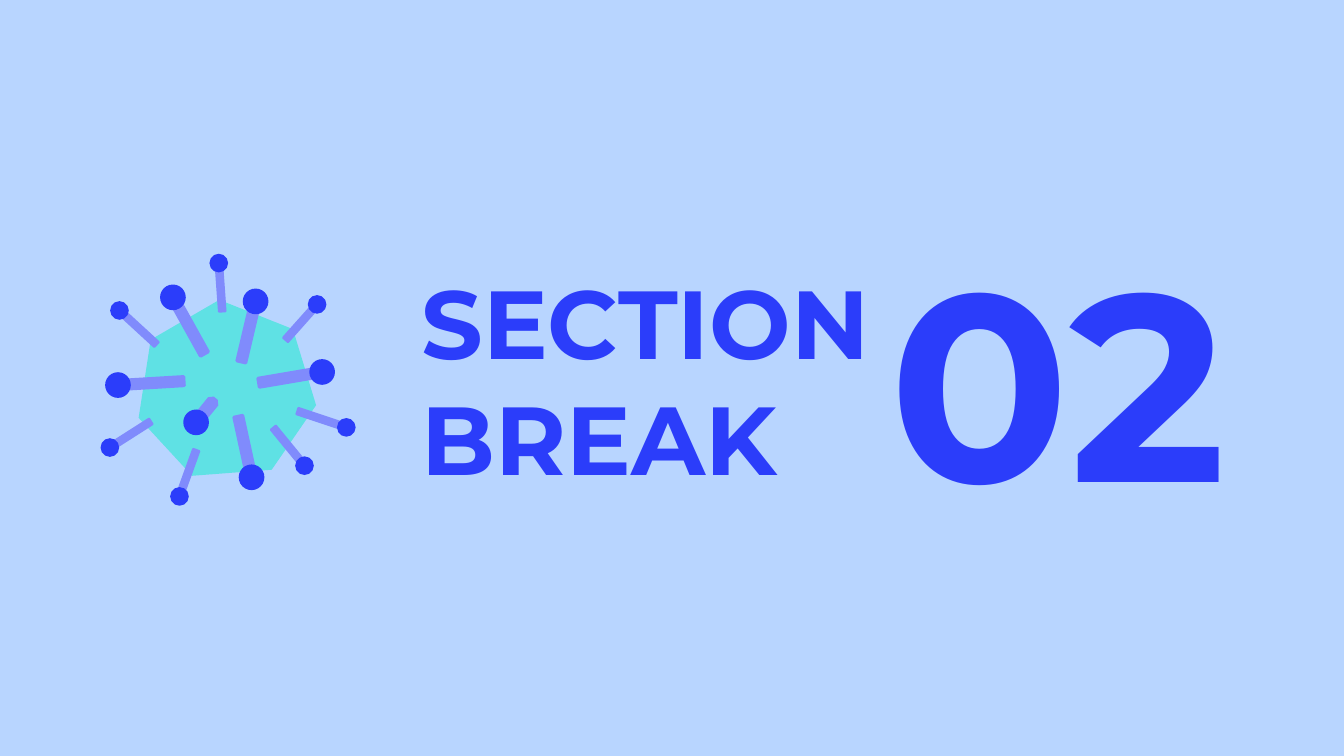
from math import hypot

from pptx import Presentation
from pptx.dml.color import RGBColor
from pptx.enum.shapes import MSO_SHAPE
from pptx.enum.text import MSO_ANCHOR, PP_ALIGN
from pptx.util import Inches, Pt

SKY, BLUE, LILAC, AQUA = "B8D5FF", "2B3DFA", "808BFC", "5FE1E4"
FONT = "Montserrat"

# Points are measured from the top left corner of the virus box
BODY = [(3.39, 4.32), (1.81, 4.44), (0.75, 3.29), (0.99, 1.74),
        (2.35, 0.95), (3.81, 1.53), (4.27, 3.04)]
BIG, SMALL, STUB = (0.24, 0.51, 0.03), (0.17, 0.37, 0.02), (0.26, 0.51, 0.08)
# Foot of the stalk, centre of the knob, (stalk width, knob diameter, corner cut)
SPIKES = [
    ((2.41, 1.2), (2.34, 0.22), SMALL),
    ((3.65, 1.76), (4.29, 1.04), SMALL),
    ((3.88, 3.15), (4.87, 3.48), SMALL),
    ((3.41, 3.47), (4.04, 4.24), SMALL),
    ((1.9, 3.91), (1.56, 4.85), SMALL),
    ((1.01, 3.35), (0.18, 3.88), SMALL),
    ((1.12, 1.85), (0.37, 1.16), SMALL),
    ((2.78, 2.21), (3.07, 0.98), BIG),
    ((2.07, 2.05), (1.43, 0.9), BIG),
    ((2.72, 3.23), (2.99, 4.47), BIG),
    ((1.68, 2.56), (0.34, 2.64), BIG),
    ((3.1, 2.6), (4.39, 2.38), BIG),
    ((2.28, 2.9), (1.89, 3.38), STUB),
]


def rgb(value):
    return RGBColor.from_string(value)


def paint(sp, color):
    sp.fill.solid()
    sp.fill.fore_color.rgb = rgb(color)
    sp.line.fill.background()
    sp.shadow.inherit = False


def add_polygon(shapes, points, color):
    pts = [(Inches(x), Inches(y)) for x, y in points]
    builder = shapes.build_freeform(*pts[0])
    builder.add_line_segments(pts[1:], close=True)
    paint(builder.convert_to_shape(), color)


def add_stalk(shapes, foot, knob, width, cut):
    length = hypot(knob[0] - foot[0], knob[1] - foot[1])
    ux, uy = (knob[0] - foot[0]) / length, (knob[1] - foot[1]) / length
    half = width / 2
    # Outline along and across the stalk, with cut corners
    outline = [(0, cut - half), (cut, -half), (length - cut, -half), (length, cut - half),
               (length, half - cut), (length - cut, half), (cut, half), (0, half - cut)]
    add_polygon(shapes, [(foot[0] + a * ux - b * uy, foot[1] + a * uy + b * ux)
                         for a, b in outline], LILAC)


def add_virus(s, left, top):
    def place(point):
        return left + point[0], top + point[1]

    shapes = s.shapes.add_group_shape().shapes
    add_polygon(shapes, [place(p) for p in BODY], AQUA)
    for foot, knob, (width, size, cut) in SPIKES:
        x, y = place(knob)
        add_stalk(shapes, place(foot), (x, y), width, cut)
        sp = shapes.add_shape(MSO_SHAPE.OVAL, Inches(x - size / 2), Inches(y - size / 2),
                              Inches(size), Inches(size))
        paint(sp, BLUE)


def set_text(sp, text, size, color=BLUE, bold=True):
    tf = sp.text_frame
    tf.word_wrap = True
    tf.vertical_anchor = MSO_ANCHOR.TOP
    p = tf.paragraphs[0]
    p.alignment = PP_ALIGN.LEFT
    r = p.add_run()
    r.text = text
    r.font.name, r.font.size, r.font.bold = FONT, Pt(size), bold
    r.font.color.rgb = rgb(color)


def add_heading(s, left, top, width, height):
    sp = s.shapes.title
    sp.left, sp.top, sp.width, sp.height = (Inches(v) for v in (left, top, width, height))
    set_text(sp, "SECTION BREAK", 138)


def add_number(s, left, top, width, height):
    sp = s.shapes.add_textbox(*(Inches(v) for v in (left, top, width, height)))
    set_text(sp, "02", 380)


def main():
    prs = Presentation()
    prs.slide_width, prs.slide_height = Inches(26.66), Inches(15)
    s = prs.slides.add_slide(prs.slide_layouts[5])
    # Background
    s.background.fill.solid()
    s.background.fill.fore_color.rgb = rgb(SKY)
    # Illustration, heading and section number
    add_virus(s, 2, 5)
    add_heading(s, 8.26, 5.16, 9.79, 4.75)
    add_number(s, 17.55, 4.25, 7.12, 6.5)
    prs.save("out.pptx")


if __name__ == "__main__":
    main()
